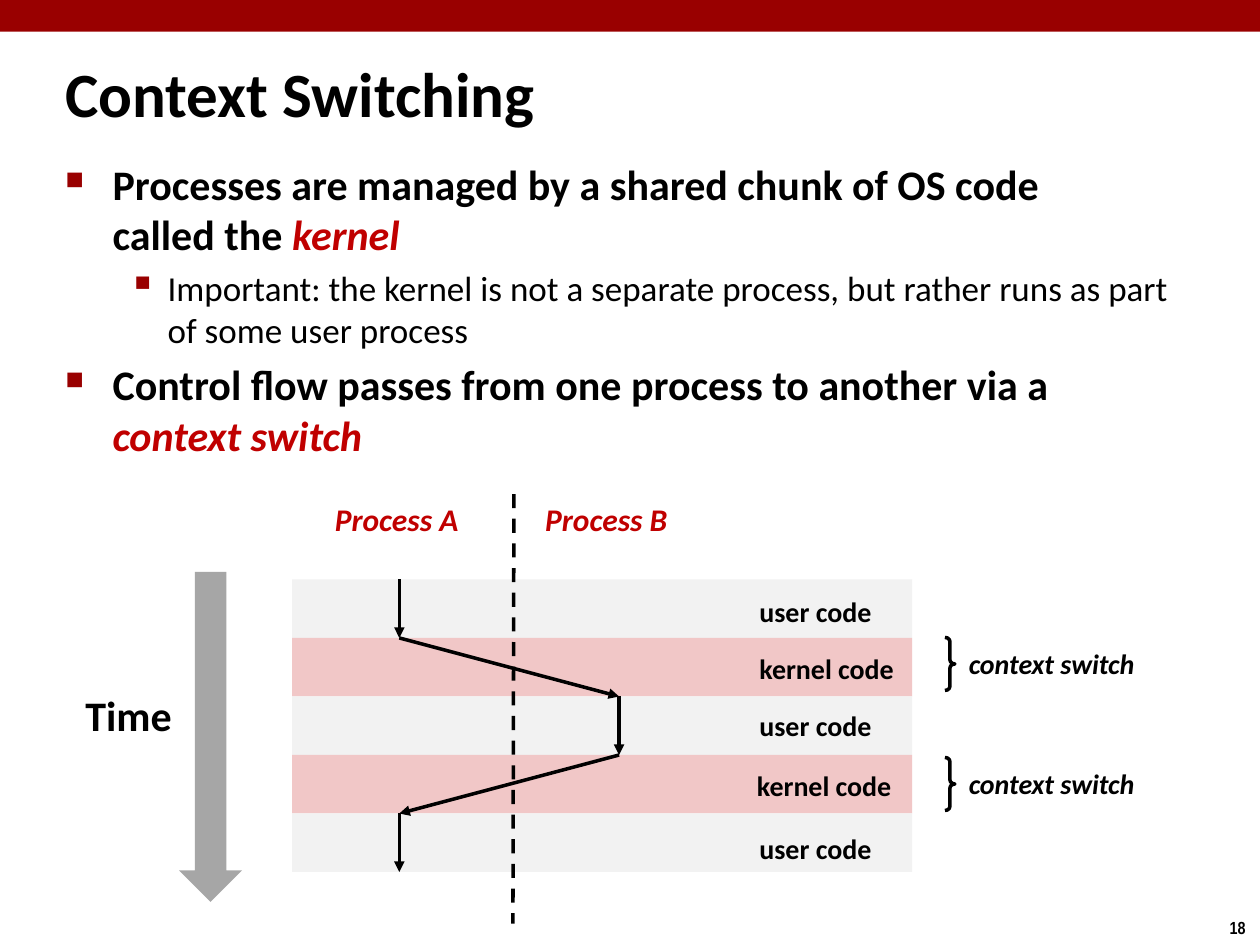
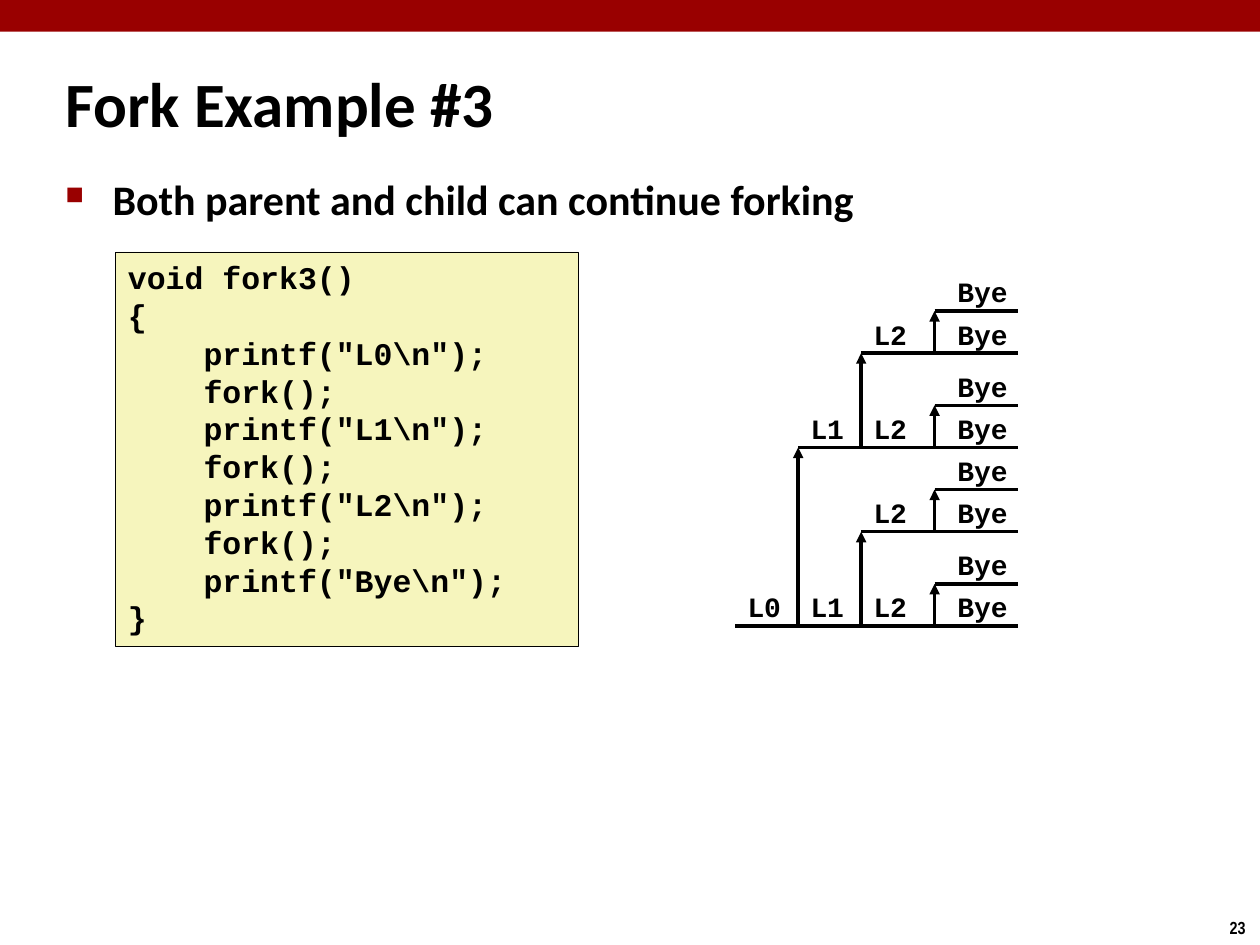
from itertools import pairwise

from pptx import Presentation
from pptx.dml.color import RGBColor as Rgb
from pptx.enum.dml import MSO_LINE
from pptx.enum.shapes import MSO_CONNECTOR as Link, MSO_SHAPE as Kind
from pptx.enum.text import MSO_ANCHOR as Anchor, PP_ALIGN as Align
from pptx.oxml.ns import qn
from pptx.oxml.xmlchemy import OxmlElement as Node
from pptx.util import Cm, Pt

BLACK = Rgb(0x00, 0x00, 0x00)
WINE = Rgb(0x99, 0x00, 0x00)
RED = Rgb(0xC0, 0x00, 0x00)
PINK = Rgb(0xF1, 0xC7, 0xC7)
PALE = Rgb(0xF2, 0xF2, 0xF2)
GRAY = Rgb(0xA6, 0xA6, 0xA6)
CREAM = Rgb(0xF6, 0xF5, 0xBD)
SANS, MONO, THIN = "Calibri", "Courier New", "Arial Narrow"

# Per level: left margin and hang (cm), size, bold, bullet, bullet percent
LEVELS = [(0.95, 0.95, 24, True, "■", 60),
          (2.06, 0.79, 20, False, "▪", 110)]

CODE = r"""void fork3()
{
    printf("L0\n");
    fork();
    printf("L1\n");
    fork();
    printf("L2\n");
    fork();
    printf("Bye\n");
}"""


class Deck:
    def __init__(self):
        self.file = Presentation()
        self.file.slide_width, self.file.slide_height = Cm(25.4), Cm(19.05)
        self.slide = None

    def start(self, title, top, width, number):
        """Add a slide with the top band, title and page number."""
        self.slide = self.file.slides.add_slide(self.file.slide_layouts[6])
        self.shape(Kind.RECTANGLE, 0, 0, 25.4, 0.64, WINE)
        self.label(number, 24.54, 18.36, 0.86, 0.69, 10, font=THIN)
        head = self.label(title, 1.07, top, width, 1.6, 36)
        head.vertical_anchor = Anchor.MIDDLE

    def run(self, para, text, size, font=SANS, color=BLACK, bold=True,
            slant=False):
        run = para.add_run()
        run.text = text
        face = run.font
        face.name, face.size = font, Pt(size)
        face.bold, face.italic = bold, slant
        face.color.rgb = color

    def frame(self, x, y, w, h):
        box = self.slide.shapes.add_textbox(Cm(x), Cm(y), Cm(w), Cm(h))
        return box.text_frame

    def label(self, text, x, y, w, h, size, **look):
        frame = self.frame(x, y, w, h)
        frame.word_wrap = False
        self.run(frame.paragraphs[0], text, size, **look)
        return frame

    def shape(self, kind, x, y, w, h, fill=None, line=None, weight=2):
        item = self.slide.shapes.add_shape(kind, Cm(x), Cm(y), Cm(w), Cm(h))
        item.shadow.inherit = False
        for part, color in ((item.fill, fill), (item.line.fill, line)):
            if color is None:
                part.background()
            else:
                part.solid()
                part.fore_color.rgb = color
        if line is not None:
            item.line.width = Pt(weight)
        return item

    def line(self, start, end, arrow=False, dash=False):
        points = [Cm(v) for v in (*start, *end)]
        link = self.slide.shapes.add_connector(Link.STRAIGHT, *points)
        link.line.color.rgb = BLACK
        link.line.width = Pt(2)
        if dash:
            link.line.dash_style = MSO_LINE.DASH
        props = link.element.spPr
        if arrow:
            tip = Node("a:tailEnd")
            tip.set("type", "triangle")
            props.find(qn("a:ln")).append(tip)
        props.append(Node("a:effectLst"))

    def bullets(self, items, x, y, w, h):
        """Each item is a level and runs of (text, emphasis)."""
        frame = self.frame(x, y, w, h)
        frame.word_wrap = True
        for i, (level, runs) in enumerate(items):
            para = frame.add_paragraph() if i else frame.paragraphs[0]
            left, hang, size, bold, mark, scale = LEVELS[level]
            self.mark(para, left, hang, mark, scale)
            para.level = level
            if i:
                para.space_before = Pt(size * 0.2)
            for text, strong in runs:
                if text == "\n":
                    para.add_line_break()
                else:
                    self.run(para, text, size, bold=bold, slant=strong,
                             color=RED if strong else BLACK)

    def mark(self, para, left, hang, mark, scale):
        props = para._p.get_or_add_pPr()
        props.set("marL", str(Cm(left)))
        props.set("indent", str(-Cm(hang)))
        tint, hue = Node("a:buClr"), Node("a:srgbClr")
        hue.set("val", str(WINE))
        tint.append(hue)
        size, char = Node("a:buSzPct"), Node("a:buChar")
        size.set("val", str(scale * 1000))
        char.set("char", mark)
        props.extend([tint, size, char])

    def code(self, text, x, y, w, h):
        box = self.shape(Kind.RECTANGLE, x, y, w, h, CREAM, BLACK, 0.25)
        frame = box.text_frame
        frame.word_wrap = False
        frame.vertical_anchor = Anchor.TOP
        for i, row in enumerate(text.splitlines()):
            para = frame.add_paragraph() if i else frame.paragraphs[0]
            para.alignment = Align.LEFT
            para.line_spacing = Pt(21.6)
            self.run(para, row, 18, MONO)


def switching(deck):
    deck.start("Context Switching", 1.07, 16.23, "18")
    deck.bullets([
        (0, [("Processes are managed by a shared chunk of OS code ", False),
             ("\n", False), ("called the ", False), ("kernel", True)]),
        (1, [("Important: the kernel is not a separate process, but rather "
              "runs as part of some user process", False)]),
        (0, [("Control flow passes from one process to another via a ", False),
             ("context switch", True)]),
    ], 1.07, 3.07, 23.04, 7.09)

    # Bands of user and kernel code
    top, step = 11.68, 1.18
    edges = [top + step * i for i in range(6)]
    spots = [11.86, 13, 14.15, 15.37, 16.64]
    for i, spot in enumerate(spots):
        kernel = i % 2 == 1
        deck.shape(Kind.RECTANGLE, 5.89, edges[i], 12.5, step,
                   PINK if kernel else PALE)
        deck.label("kernel code" if kernel else "user code",
                   15.01 if i == 3 else 15.06, spot,
                   3.25 if kernel else 2.79, 0.94, 16)

    # Process heads and divider
    for name, x in (("Process A", 6.5), ("Process B", 10.74)):
        deck.label(name, x, 9.96, 3.04, 1.02, 18, color=RED, slant=True)
    deck.line((10.36, 9.96), (10.34, 18.62), dash=True)

    # Control flow along the band edges
    left, right = 8.05, 12.48
    stops = zip([left, left, right, right, left, left], edges)
    for start, end in pairwise(stops):
        deck.line(start, end, arrow=True)

    # Braces beside the kernel bands
    for y in (12.85, 15.27):
        brace = deck.shape(Kind.RIGHT_BRACE, 19.05, y, 0.2, 1.07, line=BLACK)
        brace.adjustments[0] = 0.42
        deck.label("context switch", 19.28, y + 0.05, 3.91, 0.94, 16,
                   slant=True)

    # Time axis
    deck.label("Time", 1.47, 13.77, 2.26, 1.27, 24)
    deck.shape(Kind.DOWN_ARROW, 3.61, 11.53, 1.27, 6.65, GRAY)


def forking(deck):
    deck.start("Fork Example #3", 1.27, 14.15, "23")
    deck.bullets([(0, [("Both parent and child can continue forking", False)])],
                 1.07, 3.38, 21.95, 2.13)
    deck.code(CODE, 2.33, 5.08, 9.33, 7.95)

    # Process tree: each fork starts a child line higher up
    cols, rises, end, lift = [14.82, 16.09, 17.36, 18.84], [3.6, 1.9, 0.85], 20.53, 0.85

    def grow(level, y):
        deck.line((cols[level], y), (end, y))
        for i in range(level, len(rises)):
            deck.label(f"L{i}", cols[i], y - lift, 1.19, 0.94, 16, font=MONO)
            child = y - rises[i]
            deck.line((cols[i + 1], y), (cols[i + 1], child), arrow=True)
            grow(i + 1, child)
        deck.label("Bye", 19.05, y - lift, 1.52, 0.94, 16, font=MONO)

    grow(0, 12.62)


def main():
    deck = Deck()
    switching(deck)
    forking(deck)
    deck.file.save("out.pptx")


if __name__ == "__main__":
    main()
